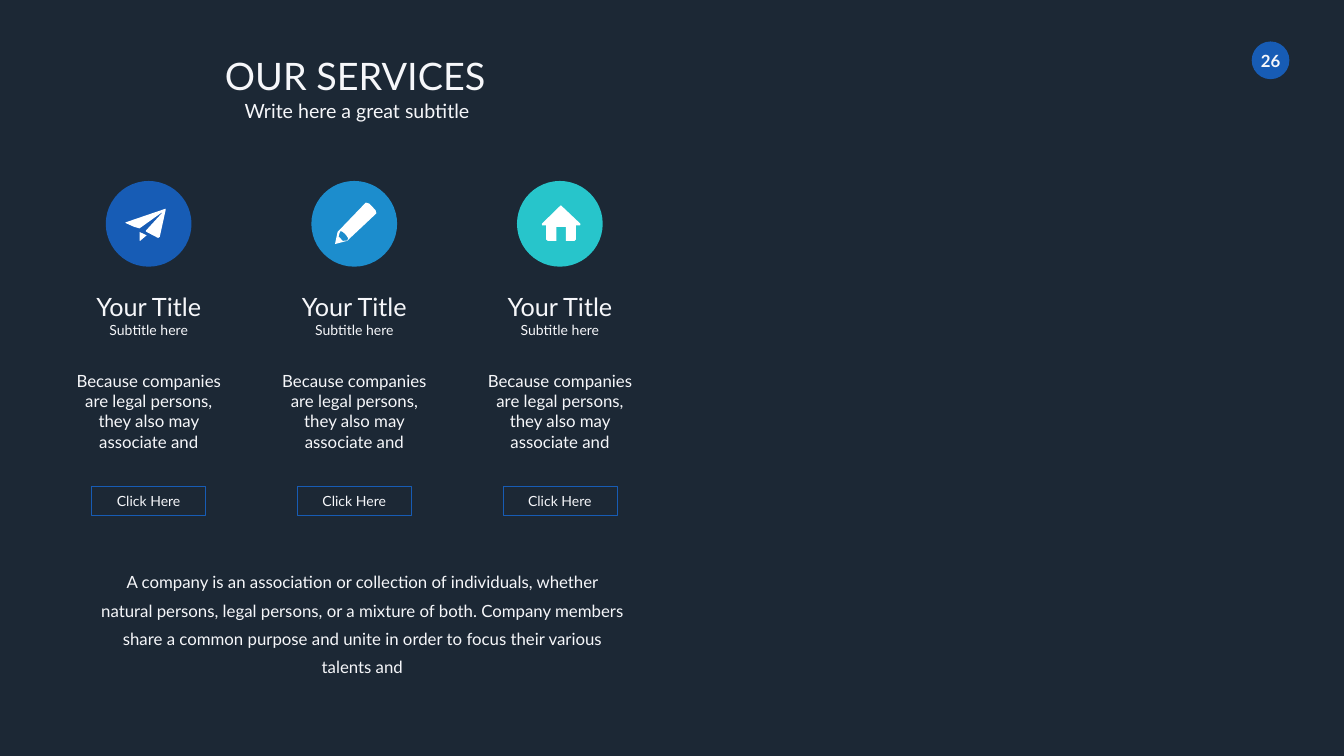
import pptx
import pptx.dml.color
import pptx.enum.shapes
import pptx.enum.text
import pptx.util

Cm = pptx.util.Cm
Pt = pptx.util.Pt
RGBColor = pptx.dml.color.RGBColor
MSO_SHAPE = pptx.enum.shapes.MSO_SHAPE
MSO_ANCHOR = pptx.enum.text.MSO_ANCHOR
PP_ALIGN = pptx.enum.text.PP_ALIGN

NAVY = RGBColor(0x1C, 0x28, 0x35)
BLUE = RGBColor(0x17, 0x5C, 0xB5)
SKY = RGBColor(0x1C, 0x8D, 0xCD)
TEAL = RGBColor(0x27, 0xC5, 0xCB)
WHITE = RGBColor(0xFF, 0xFF, 0xFF)
PALE = RGBColor(0xF6, 0xF7, 0xFA)

# Icon outlines in hundredths of a centimetre from the centre of their circle
PLANE = [
    [(79, -74), (-114, -8), (-117, -5), (-114, -3), (-74, 15), (-46, 23),
     (76, -64), (-10, 30), (-15, 36), (-10, 41), (43, 69), (48, 71),
     (56, 66), (86, -71), (84, -76)],
    [(-46, 41), (-46, 84), (-43, 86), (-10, 58)],
]
PENCIL = [
    [(91, -86), (76, -102), (58, -107), (-84, 41), (-97, 102), (-36, 86),
     (112, -53), (107, -69)],
    [(-36, 84), (-58, 86), (-69, 74), (-79, 64), (-74, 46), (-69, 36),
     (-58, 41), (-46, 51), (-36, 64), (-30, 74)],
]
HOUSE = [
    [(104, 0), (13, -86), (5, -93), (-3, -86), (-91, 0), (-89, 8), (-69, 8),
     (-69, 79), (-61, 86), (-18, 86), (-18, 15), (30, 15), (30, 86),
     (74, 86), (81, 79), (81, 8), (102, 8)],
]

SERVICES = [(BLUE, PLANE), (SKY, PENCIL), (TEAL, HOUSE)]
FIRST_CENTRE, PITCH = 7.49, 10.36
ICON_Y = 11.28


class Deck:
    font = "Lato"
    wide_inset = (0.69, 0.33)
    text_inset = (0.25, 0.13)

    def __init__(self, prs):
        self.s = prs.slides.add_slide(prs.slide_layouts[5])
        fill = self.s.background.fill
        fill.solid()
        fill.fore_color.rgb = NAVY

    def fill_text(self, sp, paragraphs, inset, anchor=MSO_ANCHOR.TOP):
        """Fill sp with centred (text, size, paragraph format, font format) items."""
        tf = sp.text_frame
        x, y = (Cm(v) for v in inset)
        frame = {"word_wrap": True, "vertical_anchor": anchor,
                 "auto_size": pptx.enum.text.MSO_AUTO_SIZE.NONE,
                 "margin_left": x, "margin_right": x,
                 "margin_top": y, "margin_bottom": y}
        self.apply(tf, frame)
        for i, (text, size, layout, look) in enumerate(paragraphs):
            p = tf.add_paragraph() if i else tf.paragraphs[0]
            self.apply(p, {"alignment": PP_ALIGN.CENTER, **layout})
            r = p.add_run()
            r.text = text
            self.apply(r.font, {"name": self.font, "size": Pt(size), **look})
            r.font.color.rgb = PALE

    def apply(self, target, values):
        for name, value in values.items():
            setattr(target, name, value)

    def title(self, text, size, left, top, width, height):
        sp = self.s.shapes.title
        self.apply(sp, {"left": Cm(left), "top": Cm(top),
                        "width": Cm(width), "height": Cm(height)})
        self.fill_text(sp, [(text, size, {}, {})], self.wide_inset, MSO_ANCHOR.MIDDLE)

    def text(self, paragraphs, left, top, width, height, inset, anchor=MSO_ANCHOR.TOP):
        sp = self.s.shapes.add_textbox(Cm(left), Cm(top), Cm(width), Cm(height))
        self.fill_text(sp, paragraphs, inset, anchor)

    def shape(self, kind, x, y, width, height, fill=None, line=None):
        """Add a preset shape centred on x, y."""
        sp = self.s.shapes.add_shape(
            kind, Cm(x - width / 2), Cm(y - height / 2), Cm(width), Cm(height))
        self.paint(sp, fill, line)
        return sp

    def paint(self, sp, fill, line=None):
        sp.shadow.inherit = False
        for part, color in ((sp.fill, fill), (sp.line.fill, line)):
            if color is None:
                part.background()
            else:
                part.solid()
                part.fore_color.rgb = color
        if line is not None:
            sp.line.width = Pt(0.5)

    def icon(self, outlines, x, y):
        first, *others = outlines
        builder = self.s.shapes.build_freeform(*first[0], scale=Cm(0.01))
        builder.add_line_segments(first[1:], close=True)
        for outline in others:
            builder.move_to(*outline[0])
            builder.add_line_segments(outline[1:], close=True)
        self.paint(builder.convert_to_shape(Cm(x), Cm(y)), WHITE)

    def label(self, sp, text, size, **look):
        self.fill_text(sp, [(text, size, {}, look)], (0, 0), MSO_ANCHOR.MIDDLE)

    def service(self, x, color, outlines):
        self.shape(MSO_SHAPE.OVAL, x, ICON_Y, 4.32, 4.32, fill=color)
        self.icon(outlines, x, ICON_Y)
        self.text([
            ("Your Title", 36, {}, {}),
            ("Subtitle here", 20, {}, {}),
            ("Because companies are legal persons, they also may associate and",
             24, {"space_before": Pt(47)}, {}),
        ], x - 4.53, 14.33, 9.07, 8.84, self.wide_inset)
        button = self.shape(MSO_SHAPE.RECTANGLE, x, 25.23, 5.74, 1.5, line=BLUE)
        self.label(button, "Click Here", 20)


def main():
    prs = pptx.Presentation()
    prs.slide_width, prs.slide_height = Cm(67.72), Cm(38.1)
    deck = Deck(prs)

    deck.title("OUR SERVICES", 54, 4.78, 2.29, 26.24, 3)
    deck.text([("Write here a great subtitle", 28, {}, {})],
              9.02, 4.65, 17.93, 1.88, deck.wide_inset, MSO_ANCHOR.MIDDLE)
    badge = deck.shape(MSO_SHAPE.OVAL, 64.02, 3.04, 1.9, 1.9, fill=BLUE)
    deck.label(badge, "26", 24, bold=True)

    for i, (color, outlines) in enumerate(SERVICES):
        deck.service(FIRST_CENTRE + i * PITCH, color, outlines)

    deck.text([(
        "A company is an association or collection of individuals, whether "
        "natural persons, legal persons, or a mixture of both. Company members "
        "share a common purpose and unite in order to focus their various "
        "talents and", 24, {"line_spacing": 1.4}, {})],
        4.78, 28.3, 26.95, 4.5, deck.text_inset)
    prs.save("out.pptx")


if __name__ == "__main__":
    main()
